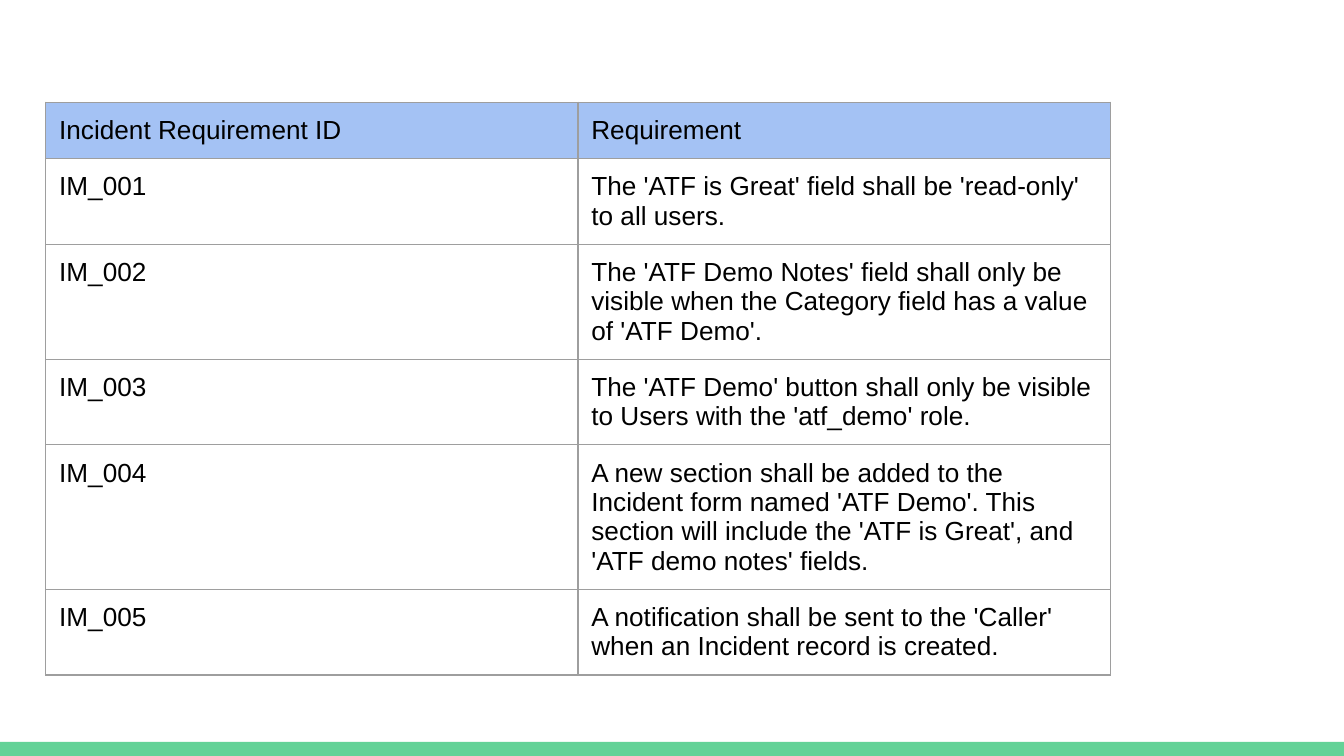
from lxml import etree
from pptx import Presentation
from pptx.dml.color import RGBColor
from pptx.enum.shapes import MSO_SHAPE
from pptx.oxml.ns import qn
from pptx.util import Inches, Pt

RECT = MSO_SHAPE.RECTANGLE
BLANK = 6

# Content
ROWS = [
    ("Incident Requirement ID", "Requirement"),
    ("IM_001", "The 'ATF is Great' field shall be 'read-only' to all users."),
    ("IM_002", "The 'ATF Demo Notes' field shall only be visible when the "
               "Category field has a value of 'ATF Demo'."),
    ("IM_003", "The 'ATF Demo' button shall only be visible to Users with "
               "the 'atf_demo' role."),
    ("IM_004", "A new section shall be added to the Incident form named "
               "'ATF Demo'. This section will include the 'ATF is Great', "
               "and 'ATF demo notes' fields."),
    ("IM_005", "A notification shall be sent to the 'Caller' when an "
               "Incident record is created."),
]

# Theme and layout
THEME = {"font": "Arial", "size": 14, "text": "000000", "head": "A4C2F4",
         "line": "9E9E9E", "width": 0.75, "bar": "63D297"}
WIDE = 10
HIGH = WIDE * 9 / 16
BAR_TOP = 5.52
LEFT, TOP = 0.34, 0.76
COL, ROW = 3.96, 0.42
PAD = Inches(0.1)
MARGINS = {"margin_" + side: PAD for side in ("left", "right", "top", "bottom")}


def color(name):
    return RGBColor.from_string(THEME[name])


def add_borders(cell):
    props = cell._tc.get_or_add_tcPr()
    for side in "LRTB":
        line = etree.SubElement(props, qn("a:ln" + side),
                                w=str(Pt(THEME["width"])))
        fill = etree.SubElement(line, qn("a:solidFill"))
        etree.SubElement(fill, qn("a:srgbClr"), val=THEME["line"])


def fill_cell(cell, text, head):
    for name, value in MARGINS.items():
        setattr(cell, name, value)
    add_borders(cell)
    if head:
        cell.fill.solid()
        cell.fill.fore_color.rgb = color("head")
    else:
        cell.fill.background()
    cell.text = text
    font = cell.text_frame.paragraphs[0].runs[0].font
    style = {"name": THEME["font"], "size": Pt(THEME["size"]), "bold": False}
    for name, value in style.items():
        setattr(font, name, value)
    font.color.rgb = color("text")


def main():
    prs = Presentation()
    prs.slide_width, prs.slide_height = Inches(WIDE), Inches(HIGH)
    slide = prs.slides.add_slide(prs.slide_layouts[BLANK])

    # Bottom bar
    bar = slide.shapes.add_shape(RECT, 0, Inches(BAR_TOP),
                                 Inches(WIDE), Inches(HIGH - BAR_TOP))
    bar.shadow.inherit = False
    bar.fill.solid()
    bar.fill.fore_color.rgb = color("bar")
    bar.line.fill.background()

    # Requirements table: rows grow to fit their text
    count, cols = len(ROWS), len(ROWS[0])
    table = slide.shapes.add_table(
        count, cols, Inches(LEFT), Inches(TOP),
        Inches(COL * cols), Inches(ROW * count)).table
    table.first_row = table.horz_banding = False
    for r, row in enumerate(ROWS):
        for c, text in enumerate(row):
            fill_cell(table.cell(r, c), text, r == 0)

    prs.save("out.pptx")


if __name__ == "__main__":
    main()
